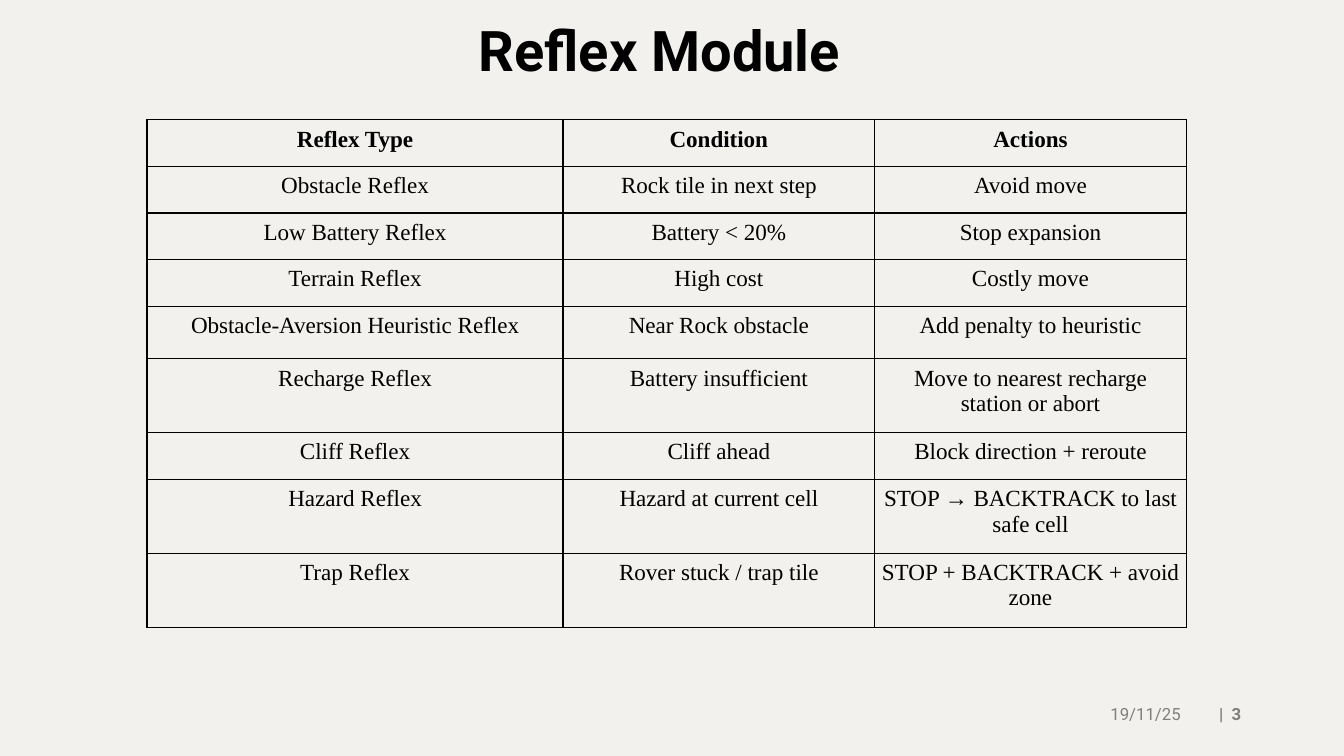
import pptx
import pptx.dml.color
import pptx.enum.text
import pptx.oxml
import pptx.oxml.ns
import pptx.util

Pt = pptx.util.Pt
ALIGN = pptx.enum.text.PP_ALIGN
ANCHOR = pptx.enum.text.MSO_ANCHOR

REFLEXES = [
    ("Reflex Type", "Condition", "Actions"),
    ("Obstacle Reflex", "Rock tile in next step", "Avoid move"),
    ("Low Battery Reflex", "Battery < 20%", "Stop expansion"),
    ("Terrain Reflex", "High cost", "Costly move"),
    ("Obstacle-Aversion Heuristic Reflex", "Near Rock obstacle", "Add penalty to heuristic"),
    ("Recharge Reflex", "Battery insufficient", "Move to nearest recharge station or abort"),
    ("Cliff Reflex", "Cliff ahead", "Block direction + reroute"),
    ("Hazard Reflex", "Hazard at current cell", "STOP → BACKTRACK to last safe cell"),
    ("Trap Reflex", "Rover stuck / trap tile", "STOP + BACKTRACK + avoid zone"),
]
COLUMN_WIDTHS = [297.2, 222.6, 222.6]
SINGLE, ROOMY, DOUBLE = 33.3, 37.6, 52.8
ROW_HEIGHTS = [SINGLE] * 4 + [ROOMY, DOUBLE, SINGLE, DOUBLE, DOUBLE]
CELL_MARGINS = {f"margin_{side}": Pt(4.8) for side in ("left", "top", "right", "bottom")}


def rgb(hex_string):
    return pptx.dml.color.RGBColor.from_string(hex_string)


def apply_format(target, values):
    for name, value in values.items():
        setattr(target, name, value)


def write_text(frame, wording, align, color, **font_values):
    paragraph = frame.paragraphs[0]
    paragraph.alignment = align
    run = paragraph.add_run()
    run.text = wording
    apply_format(run.font, font_values)
    run.font.color.rgb = rgb(color)


def add_title(slide, wording):
    title = slide.shapes.title
    apply_format(title, {"left": Pt(246), "top": Pt(8), "width": Pt(450), "height": Pt(60)})
    apply_format(title.text_frame, {"vertical_anchor": ANCHOR.MIDDLE, "word_wrap": True})
    write_text(title.text_frame, wording, ALIGN.CENTER, "000000",
               name="Roboto", size=Pt(40), bold=True)
    title.text_frame.paragraphs[0].line_spacing = 0.9


def add_footer(slide, wording, left, width, bold):
    footer = slide.shapes.add_textbox(Pt(left), Pt(494.8), Pt(width), Pt(29.5))
    apply_format(footer.text_frame, {"vertical_anchor": ANCHOR.MIDDLE, "word_wrap": True})
    write_text(footer.text_frame, wording, ALIGN.RIGHT, "7F7F7F",
               name="Roboto", size=Pt(12), bold=bold)


def add_borders(cell, color):
    properties = cell._tc.get_or_add_tcPr()
    for edge in ("lnL", "lnR", "lnT", "lnB"):
        properties.append(pptx.oxml.parse_xml(
            f'<a:{edge} {pptx.oxml.ns.nsdecls("a")} w="{Pt(1)}"><a:solidFill>'
            f'<a:srgbClr val="{color}"/></a:solidFill></a:{edge}>'))


def add_reflex_table(slide):
    reflex_table = slide.shapes.add_table(
        len(REFLEXES), len(COLUMN_WIDTHS), Pt(105), Pt(85.6),
        Pt(sum(COLUMN_WIDTHS)), Pt(sum(ROW_HEIGHTS))).table
    apply_format(reflex_table, {"first_row": False, "horz_banding": False})
    for column, width in zip(reflex_table.columns, COLUMN_WIDTHS):
        column.width = Pt(width)
    for index, (row, height, reflex) in enumerate(zip(reflex_table.rows, ROW_HEIGHTS, REFLEXES)):
        row.height = Pt(height)
        for cell, wording in zip(row.cells, reflex):
            apply_format(cell, CELL_MARGINS)
            add_borders(cell, "000000")
            cell.fill.background()
            write_text(cell.text_frame, wording, ALIGN.CENTER, "000000",
                       name="Times New Roman", size=Pt(16.5), bold=index == 0)


def main():
    """Build the Reflex Module slide and save it."""
    deck = pptx.Presentation()
    apply_format(deck, {"slide_width": Pt(960), "slide_height": Pt(540)})
    slide = deck.slides.add_slide(deck.slide_layouts.get_by_name("Title Only"))
    slide.background.fill.solid()
    slide.background.fill.fore_color.rgb = rgb("F2F1EE")
    add_title(slide, "Reflex Module")
    add_footer(slide, "|  3", 850.6, 43.2, True)
    add_footer(slide, "19/11/25", 624, 226.6, False)
    add_reflex_table(slide)
    deck.save("out.pptx")


if __name__ == "__main__":
    main()
